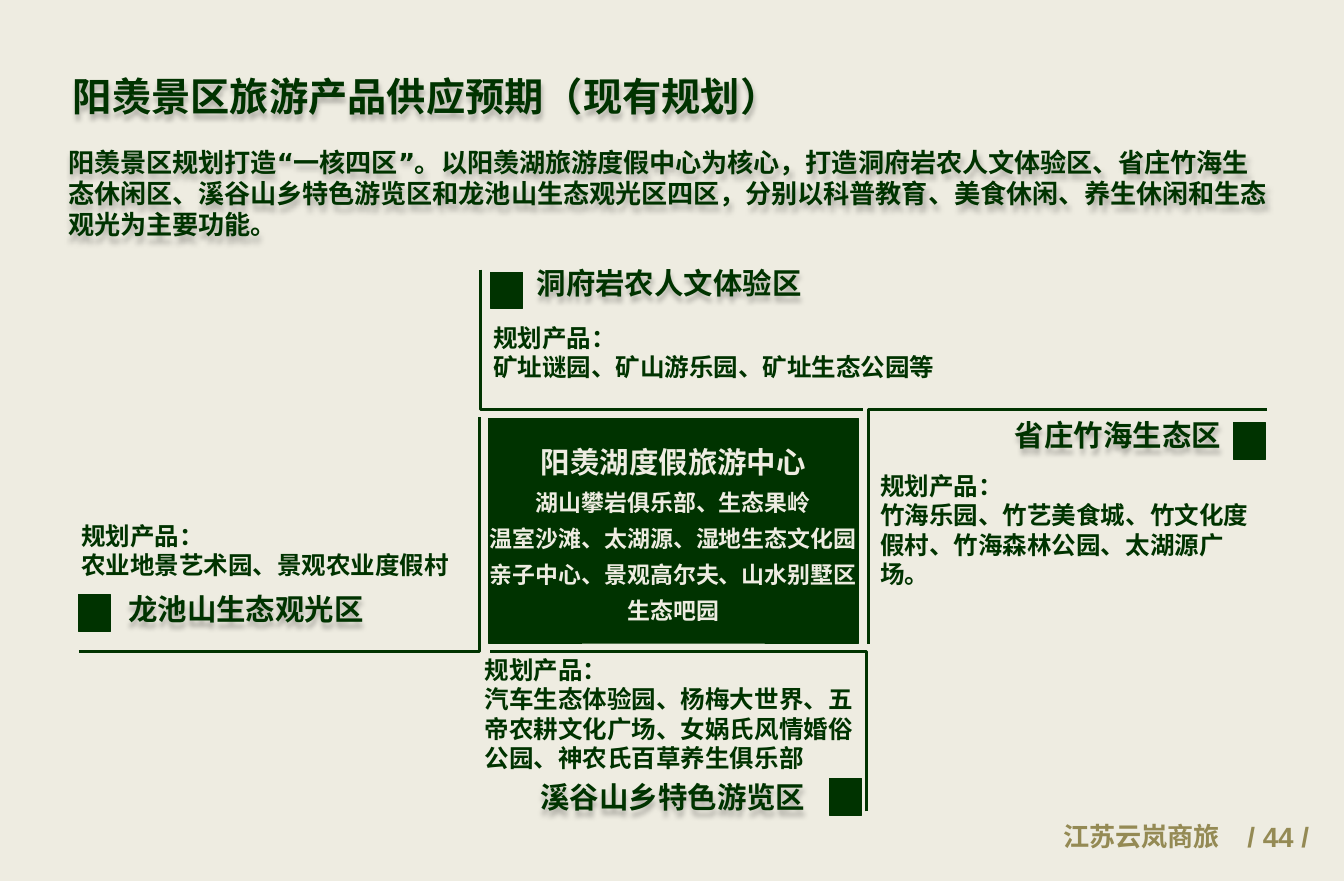
from lxml.etree import SubElement as Sub
from pptx import Presentation
from pptx.dml.color import RGBColor as Rgb
from pptx.enum.lang import MSO_LANGUAGE_ID as Lang
from pptx.enum.shapes import MSO_SHAPE as Kind
from pptx.enum.text import MSO_ANCHOR as Anchor, MSO_AUTO_SIZE as Fit, PP_ALIGN as Align
from pptx.oxml.ns import qn
from pptx.util import Cm, Inches, Pt


class Theme:
    paper = Rgb.from_string("EEECE1")
    green = Rgb.from_string("003300")
    gold = Rgb.from_string("948A54")
    face, foot, page = "DejaVu Sans", "Noto Sans CJK SC", "Arial"
    title, head, num, intro, list, core = 24, 18, 17, 16, 15, 14
    edge, line = 0.5, 1.75


# Grid: square cells, about 114 columns by 75 rows
CELL = Inches(0.1)


def cells(*nums):
    return [round(n * CELL) for n in nums]


def write(shape, lines, size, tone=Theme.green, face=Theme.face,
          align=Align.LEFT, wrap=True, shade=False):
    frame = shape.text_frame
    frame.text = "\n".join(lines)
    frame.word_wrap = wrap
    frame.auto_size = Fit.NONE
    for para in frame.paragraphs:
        para.alignment = align
        para._p.get_or_add_pPr().set("hangingPunct", "0")
        for run in para.runs:
            font = run.font
            font.size, font.bold, font.name = Pt(size), True, face
            font.color.rgb = tone
            font.language_id = Lang.SIMPLIFIED_CHINESE
            Sub(font._element, qn("a:ea"), typeface=face)
    if shade:
        fx = Sub(shape._element.spPr, qn("a:effectLst"))
        drop = Sub(fx, qn("a:outerShdw"), blurRad="38100", dist="38100", dir="5400000")
        ink = Sub(drop, qn("a:srgbClr"), val="000000")
        Sub(ink, qn("a:alpha"), val="25000")


deck = Presentation()
deck.slide_width, deck.slide_height = Cm(29), Cm(19)
slide = deck.slides.add_slide(deck.slide_layouts[5])
slide.background.fill.solid()
slide.background.fill.fore_color.rgb = Theme.paper
shapes = slide.shapes

# Title
title = shapes.title
title.left, title.top, title.width, title.height = cells(5.2, 5.6, 62.7, 5)
write(title, ["阳羡景区旅游产品供应预期（现有规划）"], Theme.title, shade=True)
title.text_frame.vertical_anchor = Anchor.TOP

# Introduction
intro = shapes.add_textbox(*cells(4.8, 11.9, 104.3, 9.1))
write(intro, ["阳羡景区规划打造“一核四区”。以阳羡湖旅游度假中心为核心，打造洞府岩农人文体验区、"
              "省庄竹海生态休闲区、溪谷山乡特色游览区和龙池山生态观光区四区，"
              "分别以科普教育、美食休闲、养生休闲和生态观光为主要功能。"],
      Theme.intro, shade=True)

# Zones: name, its box and side, products, their box and wrap, tile corner, bracket
zones = [
    ("洞府岩农人文体验区", (44.6, 22, 33.2, 5.2), Align.LEFT,
     "矿址谜园、矿山游乐园、矿址生态公园等", (40.9, 26.9, 63.4, 6.1), True,
     (41.7, 23.1), [(40.8, 22.9), (40.8, 34.8), (73.3, 34.8)]),
    ("省庄竹海生态区", (71.5, 34.9, 33.2, 5.2), Align.RIGHT,
     "竹海乐园、竹艺美食城、竹文化度假村、竹海森林公园、太湖源广场。",
     (73.8, 39.5, 34.5, 8.6), True,
     (104.8, 35.9), [(107.6, 34.8), (73.8, 34.8), (73.8, 54.7)]),
    ("溪谷山乡特色游览区", (41.7, 65.7, 27.7, 4), Align.RIGHT,
     "汽车生态体验园、杨梅大世界、五帝农耕文化广场、女娲氏风情婚俗公园、神农氏百草养生俱乐部",
     (40.2, 55.1, 33.5, 11.1), True,
     (70.5, 66.1), [(73.6, 68.9), (73.6, 55.3), (41.6, 55.3)]),
    ("龙池山生态观光区", (9.9, 49.7, 24.9, 5.2), Align.LEFT,
     "农业地景艺术园、景观农业度假村", (5.9, 43.7, 33.6, 6.1), False,
     (6.7, 50.5), [(6.7, 55.3), (40.7, 55.3), (40.7, 35.4)]),
]
tiles = []
for name, spot, side, goods, area, wrap, tile, bend in zones:
    head = shapes.add_textbox(*cells(*spot))
    write(head, [name], Theme.head, align=side, shade=True)
    list_box = shapes.add_textbox(*cells(*area))
    write(list_box, ["规划产品：", goods], Theme.list, wrap=wrap)
    start, *rest = [cells(*point) for point in bend]
    pen = shapes.build_freeform(*start)
    pen.add_line_segments(rest, close=False)
    edge = pen.convert_to_shape()
    edge.shadow.inherit = False
    edge.fill.background()
    edge.line.color.rgb = Theme.green
    edge.line.width = Pt(Theme.line)
    tiles.append((*tile, 2.7, 3.1))

# Zone tiles and the core block
for spot in [*tiles, (41.5, 35.5, 31.4, 19.1)]:
    block = shapes.add_shape(Kind.RECTANGLE, *cells(*spot))
    block.shadow.inherit = False
    block.fill.solid()
    block.fill.fore_color.rgb = Theme.green
    block.line.color.rgb = Theme.green
    block.line.width = Pt(Theme.edge)

# Core text goes in the last block
write(block, ["阳羡湖度假旅游中心", "湖山攀岩俱乐部、生态果岭",
              "温室沙滩、太湖源、湿地生态文化园", "亲子中心、景观高尔夫、山水别墅区", "生态吧园"],
      Theme.core, Theme.paper, align=Align.CENTER, wrap=False)
core = block.text_frame
core.vertical_anchor = Anchor.MIDDLE
core.margin_left = core.margin_right = core.margin_top = core.margin_bottom = 0
for para in core.paragraphs:
    para.line_spacing = Pt(22)
lead = core.paragraphs[0]
lead.line_spacing = Pt(26)
lead.runs[0].font.size = Pt(Theme.head)

# Footer
for text, spot, size, face, side in [
    ("江苏云岚商旅", (84.5, 69.2, 20.1, 3.7), Theme.intro, Theme.foot, Align.RIGHT),
    ("/ 44 /", (104.8, 69.1, 7.6, 4.2), Theme.num, Theme.page, Align.CENTER),
]:
    write(shapes.add_textbox(*cells(*spot)), [text], size, Theme.gold, face, side)

deck.save("out.pptx")
